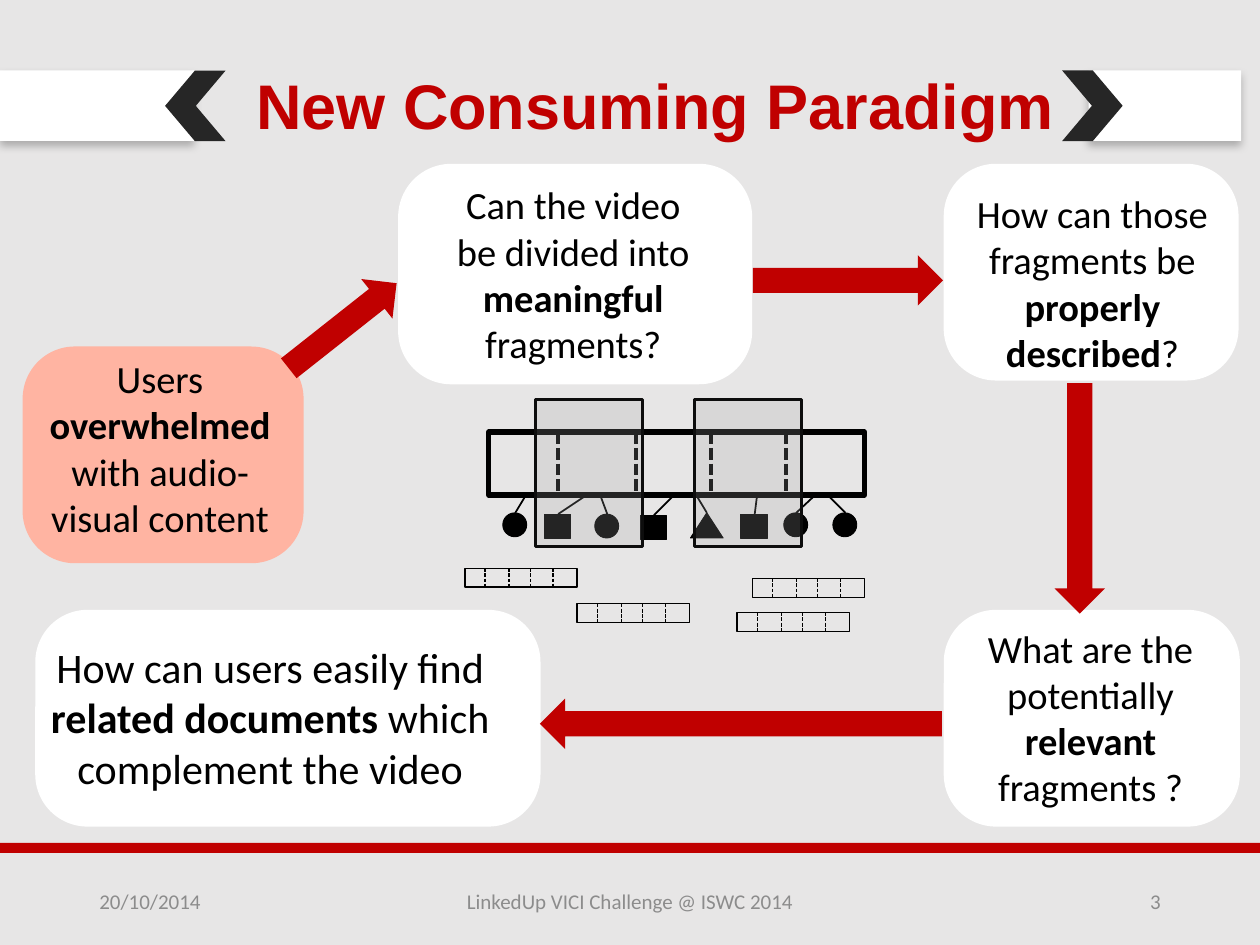
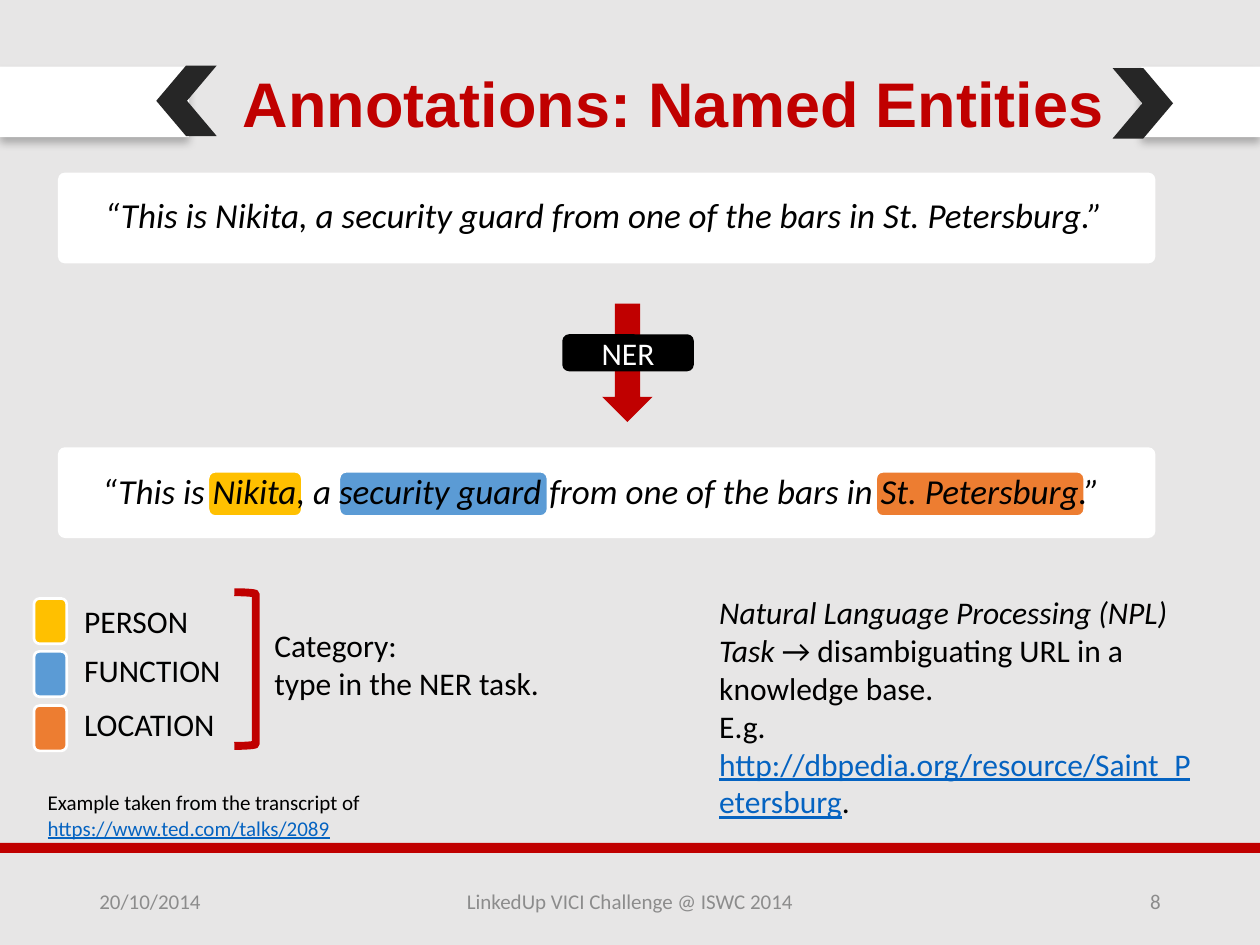
from dataclasses import dataclass

import lxml.etree
import pptx
import pptx.dml.color
import pptx.enum.dml
import pptx.enum.shapes
import pptx.enum.text
import pptx.oxml.ns
import pptx.util

SCALE = 9144  # EMU in one px, 100 px to the inch
KIND = pptx.enum.shapes.MSO_SHAPE
ALIGN = pptx.enum.text.PP_ALIGN
LEFT, MID, RIGHT = ALIGN.LEFT, ALIGN.CENTER, ALIGN.RIGHT


@dataclass(frozen=True)
class Theme:
    back: str = "E7E6E6"
    red: str = "C00000"
    white: str = "FFFFFF"
    black: str = "000000"
    dark: str = "262626"
    pink: str = "FFB4A2"
    grey: str = "8C8C8C"
    veil: str = "A6A6A6"
    edge: str = "0D0D0D"
    link: str = "0563C1"
    gold: str = "FFC000"
    blue: str = "5B9BD5"
    orange: str = "ED7D31"
    head: str = "Arial"
    body: str = "Calibri"
    title: int = 36
    large: int = 24
    card: int = 22
    quote: int = 20
    text: int = 18
    small: int = 12


T = Theme()


def px(count):
    return pptx.util.Emu(count * SCALE)


def rgb(code):
    return pptx.dml.color.RGBColor.from_string(code)


def sub(parent, tag, **attrs):
    return lxml.etree.SubElement(parent, pptx.oxml.ns.qn(tag), **attrs)


# Basic elements

def shape(slide, kind, box, fill=None, line=None, width=1, turn=0, adj=None):
    item = slide.shapes.add_shape(kind, *map(px, box))
    item.shadow.inherit = False
    item.rotation = turn
    if adj is not None:
        item.adjustments[0] = adj
    if fill:
        item.fill.solid()
        item.fill.fore_color.rgb = rgb(fill)
    else:
        item.fill.background()
    if line:
        item.line.color.rgb = rgb(line)
        item.line.width = pptx.util.Pt(width)
    else:
        item.line.fill.background()
    return item


def rule(slide, start, end, width, dash=False):
    item = slide.shapes.add_connector(
        pptx.enum.shapes.MSO_CONNECTOR.STRAIGHT, *map(px, start + end))
    item.line.color.rgb = rgb(T.black)
    item.line.width = pptx.util.Pt(width)
    if dash:
        item.line.dash_style = pptx.enum.dml.MSO_LINE.SQUARE_DOT
    sub(item._element.spPr, "a:effectLst")


def write(item, paras, size, align=LEFT, color=T.black, font=T.body, style=""):
    """Each paragraph is a list of (text, style); b, i and u mark the style."""
    frame = item.text_frame
    frame.word_wrap = True
    for index, parts in enumerate(paras):
        para = frame.add_paragraph() if index else frame.paragraphs[0]
        para.alignment = align
        for words, mark in parts:
            run = para.add_run()
            run.text = words
            mark += style
            run.font.name = font
            run.font.size = pptx.util.Pt(size)
            run.font.bold = "b" in mark
            run.font.italic = "i" in mark
            run.font.underline = "u" in mark
            run.font.color.rgb = rgb(T.link if "u" in mark else color)


def label(slide, box, paras, size, middle=False, **look):
    item = slide.shapes.add_textbox(*map(px, box))
    if middle:
        item.text_frame.vertical_anchor = pptx.enum.text.MSO_ANCHOR.MIDDLE
    write(item, paras, size, **look)


def plain(*lines):
    return [[(line, "")] for line in lines]


# Parts that the slides share

def band(slide, box):
    item = shape(slide, KIND.RECTANGLE, box, T.white)
    effects = item._element.spPr.find(pptx.oxml.ns.qn("a:effectLst"))
    glow = sub(effects, "a:outerShdw", blurRad="63500", dist="38100",
               dir="5400000", algn="t", rotWithShape="0")
    sub(sub(glow, "a:srgbClr", val=T.black), "a:alpha", val="26000")


def frame(deck, title, box, bands, tips, number):
    slide = deck.slides.add_slide(deck.slide_layouts[6])
    slide.background.fill.solid()
    slide.background.fill.fore_color.rgb = rgb(T.back)
    for place in bands:
        band(slide, place)
    for (left, top), turn in zip(tips, (180, 0)):
        shape(slide, KIND.CHEVRON, (left, top, 48, 56), T.dark,
              turn=turn, adj=0.493)
    label(slide, box, plain(title), T.title, align=MID, color=T.red,
          font=T.head, style="b")
    shape(slide, KIND.RECTANGLE, (0, 669, 1000, 8), T.red)
    for left, width, words, align in (
            (69, 225, "20/10/2014", LEFT),
            (331, 338, "LinkedUp VICI Challenge @ ISWC 2014", MID),
            (706, 225, number, RIGHT)):
        label(slide, (left, 695, width, 40), plain(words), T.small,
              middle=True, align=align, color=T.grey)
    return slide


# Parts of the first slide

def card(slide, box, place, parts, fill=T.white, size=T.card):
    shape(slide, KIND.ROUNDED_RECTANGLE, box, fill, adj=0.241)
    label(slide, place, [parts], size, align=MID)


def arrow(slide, box, turn=0):
    shape(slide, KIND.DOWN_ARROW, box, T.red, turn=turn)


def film(slide):
    # Reel with cut marks
    shape(slide, KIND.RECTANGLE, (388, 343, 298, 50), line=T.black, width=3)
    for left in (443, 505, 564, 624):
        rule(slide, (left, 343), (left, 394), 2.25, dash=True)

    # Marks hung from the reel: left, top, width, height, foot of the stem
    ball, block, peak = KIND.OVAL, KIND.RECTANGLE, KIND.ISOSCELES_TRIANGLE
    for kind, left, top, width, height, foot in (
            (ball, 399, 407, 19, 19, 418), (block, 432, 408, 21, 19, 467),
            (ball, 472, 408, 19, 19, 476), (block, 508, 409, 21, 19, 536),
            (peak, 548, 407, 26, 20, 552), (block, 588, 408, 21, 19, 601),
            (ball, 622, 407, 19, 19, 648), (ball, 661, 407, 19, 19, 656)):
        shape(slide, kind, (left, top, width, height), T.black, T.black, 0.5)
        rule(slide, (left + (width + 1) // 2, top), (foot, 392), 1)

    # Chosen fragments
    for left in (425, 551):
        pane = shape(slide, KIND.RECTANGLE, (left, 317, 85, 117),
                     T.veil, T.edge, 1.5)
        tint = pane._element.spPr.find(".//" + pptx.oxml.ns.qn("a:srgbClr"))
        sub(tint, "a:alpha", val="22000")

    # Small strips
    for left, top in ((458, 479), (597, 459), (585, 486), (369, 451)):
        shape(slide, KIND.RECTANGLE, (left, top, 89, 15),
              line=T.black, width=0.75)
        for step in (16, 35, 52, 70):
            rule(slide, (left + step, top), (left + step, top + 15),
                 0.75, dash=True)


def draw_loop(deck):
    slide = frame(deck, "New Consuming Paradigm", (185, 48, 670, 71),
                  ((864, 56, 121, 56), (0, 56, 154, 56)),
                  ((131, 56), (843, 56)), "3")
    card(slide, (18, 275, 223, 172), (21, 277, 212, 158),
         [("Users ", ""), ("overwhelmed", "b"),
          (" with audio-visual content", "")], fill=T.pink)
    card(slide, (316, 130, 281, 175), (352, 139, 206, 158),
         [("Can the video be divided into ", ""), ("meaningful", "b"),
          (" fragments?", "")])
    card(slide, (749, 130, 234, 172), (764, 146, 206, 158),
         [("How can those fragments be ", ""), ("properly described", "b"),
          ("?", "")])
    card(slide, (749, 484, 235, 172), (761, 491, 209, 158),
         [("What are the potentially ", ""), ("relevant ", "b"),
          ("fragments ?", "")])
    card(slide, (28, 484, 401, 172), (16, 504, 397, 131),
         [("How can users easily find ", ""), ("related documents ", "b"),
          ("which complement the video", "")], size=T.large)
    arrow(slide, (252, 204, 40, 109), 231.7)
    arrow(slide, (653, 147, 40, 151), 270)
    arrow(slide, (837, 304, 40, 183))
    arrow(slide, (568, 415, 40, 319), 90)
    film(slide)


# Parts of the second slide

def chip(slide, box, fill):
    shape(slide, KIND.ROUNDED_RECTANGLE, box, fill, T.white, 1.5)


def quote(slide, top, left, drop, chips=()):
    shape(slide, KIND.ROUNDED_RECTANGLE, (46, top, 871, 72), T.white,
          adj=0.077)
    for start, width, fill in chips:
        chip(slide, (start, top + 19, width, 36), fill)
    words = ("“This is Nikita, a security guard from one of the bars "
             "in St. Petersburg.”")
    label(slide, (left, top + drop, 855, 44), plain(words), T.quote,
          align=MID, style="i")


def draw_names(deck):
    slide = frame(deck, "Annotations: Named Entities", (134, 46, 801, 71),
                  ((906, 53, 94, 56), (0, 53, 150, 56)),
                  ((124, 52), (883, 54)), "8")

    # Sentence before and after the task
    quote(slide, 137, 52, 12)
    quote(slide, 355, 50, 13, ((165, 75, T.gold), (269, 166, T.blue),
                               (695, 166, T.orange)))
    arrow(slide, (478, 241, 40, 94))
    badge = shape(slide, KIND.ROUNDED_RECTANGLE, (447, 266, 103, 28),
                  T.black, T.black)
    badge.text_frame.vertical_anchor = pptx.enum.text.MSO_ANCHOR.MIDDLE
    write(badge, plain("NER"), T.text, align=MID, color=T.white)

    # Legend
    for top, drop, word, fill in ((475, -2, "PERSON", T.gold),
                                  (517, -5, "FUNCTION", T.blue),
                                  (560, -5, "LOCATION", T.orange)):
        chip(slide, (27, top, 26, 36), fill)
        label(slide, (57, top + drop, 130, 40), plain(word), T.text)
    shape(slide, KIND.RIGHT_BRACKET, (186, 470, 17, 122),
          line=T.red, width=4.5)
    label(slide, (208, 492, 364, 71),
          plain("Category:", "type in the NER task."), T.text)

    # Notes on the task and the example
    label(slide, (561, 466, 398, 192), [
        [("Natural Language Processing (NPL) Task ", "i"),
         ("→ disambiguating URL in a knowledge base.", "")],
        [("E.g. ", ""),
         ("http://dbpedia.org/resource/Saint_Petersburg", "u"),
         (".", "")]], T.text)
    label(slide, (28, 622, 303, 50), [
        [("Example taken from the transcript of", "")],
        [("https://www.ted.com/talks/2089", "u")]], T.small)


def main():
    deck = pptx.Presentation()
    deck.slide_width, deck.slide_height = px(1000), px(750)
    draw_loop(deck)
    draw_names(deck)
    deck.save("out.pptx")


if __name__ == "__main__":
    main()
